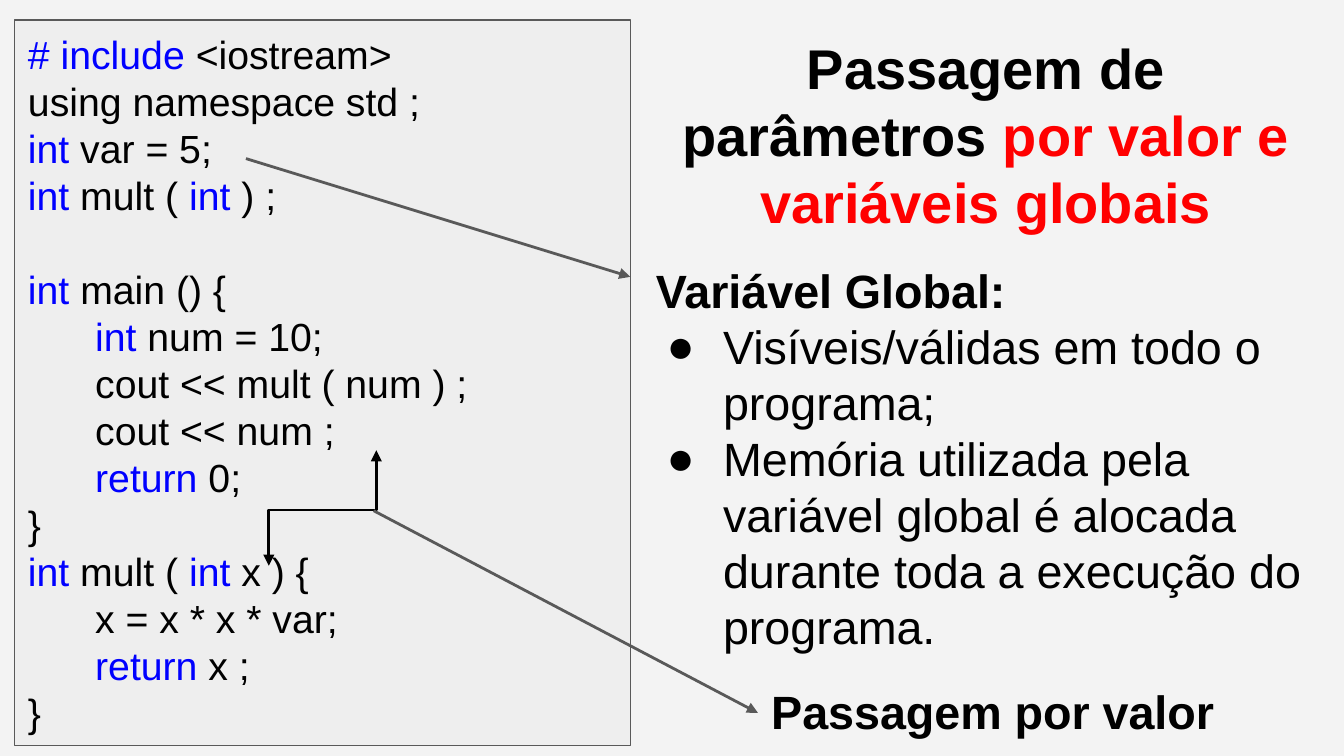
import pptx
import pptx.util
import pptx.dml.color
import pptx.enum.shapes
import pptx.enum.text
import pptx.oxml
from lxml import etree

Inches, Pt = pptx.util.Inches, pptx.util.Pt
Align, Anchor = pptx.enum.text.PP_ALIGN, pptx.enum.text.MSO_ANCHOR
Kind = pptx.enum.shapes.MSO_CONNECTOR

# Text between bars takes the accent colour.
TITLE = "Passagem de parâmetros |por valor e variáveis globais|"
HEAD = "Variável Global:"
POINTS = [
    "Visíveis/válidas em todo o programa;",
    "Memória utilizada pela variável global é alocada durante toda a "
    "execução do programa.",
]
NOTE = "Passagem por valor"
# Blocks of code: (indent level, line)
CODE = [
    [
        (0, "|# include |<iostream>"),
        (0, "using namespace std ;"),
        (0, "|int| var = 5;"),
        (0, "|int| mult ( |int| ) ;"),
    ],
    [
        (0, "|int |main () {"),
        (1, "|int| num = 10;"),
        (1, "cout << mult ( num ) ;"),
        (1, "cout << num ;"),
        (1, "|return |0;"),
        (0, "}"),
        (0, "|int| mult ( |int| x ) {"),
        (1, "x = x * x * var;"),
        (1, "|return| x ;"),
        (0, "}"),
    ],
]
BLACK, GREY, BLUE, RED = "000000", "595959", "0000FF", "FF0000"
LEAD = 1.2  # line pitch per point of text size


def rgb(code):
    return pptx.dml.color.RGBColor.from_string(code)


def place(shape, *box):
    shape.left, shape.top, shape.width, shape.height = map(Inches, box)


def setup(frame, anchor=Anchor.TOP):
    frame.word_wrap = True
    frame.auto_size = pptx.enum.text.MSO_AUTO_SIZE.NONE
    frame.vertical_anchor = anchor
    frame.margin_left = frame.margin_right = Inches(0.1)
    frame.margin_top = frame.margin_bottom = Inches(0.1)


def write(para, text, size, bold=False, accent=BLACK, align=Align.LEFT):
    para.alignment = align
    para.line_spacing = Pt(size * LEAD)
    para.space_before = para.space_after = Pt(0)
    font = para.font
    font.name, font.size, font.bold = "Arial", Pt(size), bold
    font.color.rgb = rgb(BLACK)
    for i, part in enumerate(text.split("|")):
        if part:
            run = para.add_run()
            run.text = part
            if i % 2:
                run.font.color.rgb = rgb(accent)


def indent(para, left, first=0, mark=None):
    """Set the indents in inches and the bullet, or none."""
    props = para._p.get_or_add_pPr()
    props.set("marL", str(Inches(left)))
    props.set("indent", str(Inches(first)))
    if mark:
        tint = pptx.oxml.parse_xml(
            '<a:buClr xmlns:a="http://schemas.openxmlformats.org/drawingml/2006/main">'
            f'<a:srgbClr val="{BLACK}"/></a:buClr>')
        bullet = props.makeelement(pptx.oxml.ns.qn("a:buChar"), {"char": mark})
        items = [tint, bullet]
    else:
        items = [props.makeelement(pptx.oxml.ns.qn("a:buNone"), {})]
    spot = props.find(pptx.oxml.ns.qn("a:defRPr"))
    for item in items:
        spot.addprevious(item)


def arrow(kind, start, end, color, ends=("tailEnd",)):
    link = slide.shapes.add_connector(kind, *map(Inches, start + end))
    link.line.color.rgb = rgb(color)
    link.line.width = Pt(1.5)
    line = link.line._get_or_add_ln()
    for name in ends:
        etree.SubElement(line, pptx.oxml.ns.qn("a:" + name), type="triangle")
    etree.SubElement(link._element.spPr, pptx.oxml.ns.qn("a:effectLst"))
    return link


deck = pptx.Presentation()
deck.slide_width = Inches(10)
deck.slide_height = deck.slide_width * 9 // 16
slide = deck.slides.add_slide(deck.slide_layouts[1])
back = slide.background.fill
back.solid()
back.fore_color.rgb = rgb("F3F3F3")

title = slide.shapes.title
place(title, 4.78, 0.15, 5.11, 1.2)
setup(title.text_frame)
write(title.text_frame.paragraphs[0], TITLE, 30, True, RED, Align.CENTER)

code = slide.shapes.add_shape(
    pptx.enum.shapes.MSO_SHAPE.RECTANGLE,
    Inches(0.11), Inches(0.15), Inches(4.58), Inches(5.4))
code.shadow.inherit = False
code.fill.solid()
code.fill.fore_color.rgb = rgb("EEEEEE")
code.line.color.rgb = rgb(GREY)
code.line.width = Pt(0.75)
frame = code.text_frame
setup(frame, Anchor.MIDDLE)
para = frame.paragraphs[0]
for b, block in enumerate(CODE):
    for n, (level, text) in enumerate(block):
        if b or n:
            para = frame.add_paragraph()
        write(para, text, 21, accent=BLUE)
        indent(para, 0, 0.5 * level)
        if b and n == 0:
            para.space_before = Pt(21 * LEAD)

body = slide.placeholders[1]
place(body, 4.78, 1.85, 5.11, 3)
frame = body.text_frame
setup(frame)
write(frame.paragraphs[0], HEAD, 25, True)
indent(frame.paragraphs[0], 0)
for text in POINTS:
    para = frame.add_paragraph()
    write(para, text, 25)
    indent(para, 0.5, -0.42, "●")

note = slide.shapes.add_textbox(
    Inches(5.64), Inches(4.98), Inches(3.73), Inches(0.65))
setup(note.text_frame)
write(note.text_frame.paragraphs[0], NOTE, 25, True)

arrow(Kind.STRAIGHT, (1.83, 1.18), (4.69, 2.06), GREY)

# The elbow is turned a quarter so that it leaves and arrives vertically.
elbow = arrow(Kind.ELBOW, (1.97, 3.38), (2.83, 4.18), BLACK,
              ("headEnd", "tailEnd"))
props = elbow._element.spPr
props.find(pptx.oxml.ns.qn("a:xfrm")).set("rot", str(90 * 60000))
guides = props.find(pptx.oxml.ns.qn("a:prstGeom")).get_or_add_avLst()
etree.SubElement(guides, pptx.oxml.ns.qn("a:gd"), name="adj1", fmla="val 51800")

link = arrow(Kind.STRAIGHT, (2.78, 3.8), (5.64, 5.31), GREY)
link.end_connect(note, 1)

deck.save("out.pptx")
